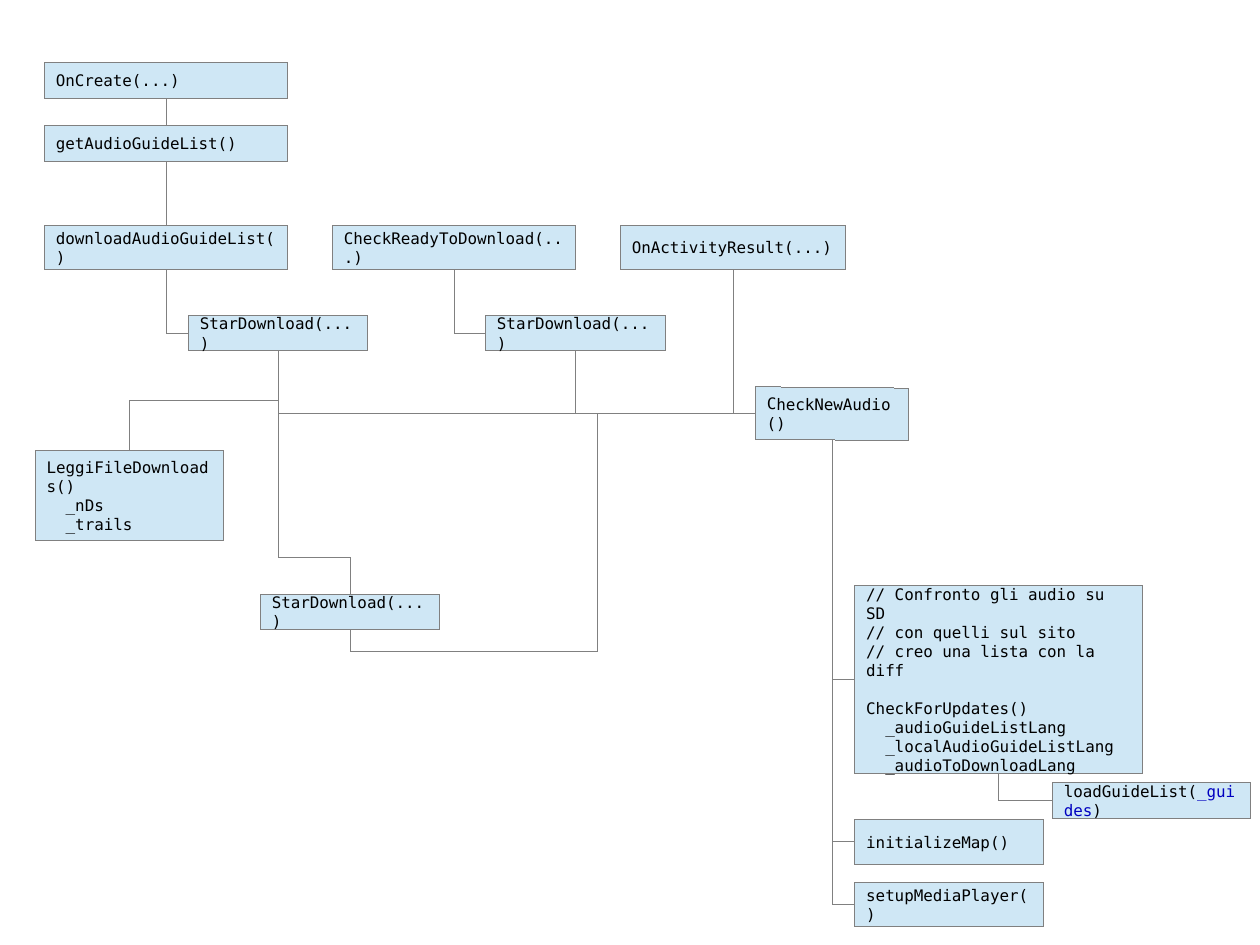
from lxml import etree
from pptx import Presentation
from pptx.dml.color import RGBColor
from pptx.enum.shapes import MSO_CONNECTOR, MSO_SHAPE
from pptx.enum.text import MSO_ANCHOR, PP_ALIGN
from pptx.oxml.ns import qn
from pptx.util import Inches, Pt

RECTANGLE = MSO_SHAPE.RECTANGLE
STRAIGHT, ELBOW = MSO_CONNECTOR.STRAIGHT, MSO_CONNECTOR.ELBOW
MIDDLE = MSO_ANCHOR.MIDDLE
LEFT = PP_ALIGN.LEFT
TOP_SITE, LEFT_SITE, BOTTOM_SITE = 0, 1, 2

# The page is 28 by 21 centimetres
SLIDE_WIDTH, SLIDE_HEIGHT = 28 / 2.54, 21 / 2.54
FONT = "DejaVu Sans Mono"
FONT_SIZE = 10
HAIRLINE = 0.01
BOX_FILL, LINE_COLOR = "CFE7F5", "808080"
TEXT_COLOR, FIELD_COLOR = "000000", "0000C0"

# Call boxes: name -> (left, top, width, height), paragraphs of text runs
BOXES = {
    "on_create": ((0.39, 0.55, 2.13, 0.31), [["OnCreate(...)"]]),
    "get_list": ((0.39, 1.1, 2.13, 0.31), [["getAudioGuideList()"]]),
    "download_list": ((0.39, 1.97, 2.13, 0.39), [["downloadAudioGuideList()"]]),
    "check_ready": ((2.91, 1.97, 2.13, 0.39), [["CheckReadyToDownload(...)"]]),
    "on_result": ((5.43, 1.97, 1.97, 0.39), [["OnActivityResult(...)"]]),
    "start_list": ((1.65, 2.76, 1.57, 0.31), [["StarDownload(...)"]]),
    "start_ready": ((4.25, 2.76, 1.57, 0.31), [["StarDownload(...)"]]),
    "start_again": ((2.28, 5.2, 1.57, 0.31), [["StarDownload(...)"]]),
    "check_new": ((6.61, 3.39, 1.34, 0.46), [["CheckNewAudio()"]]),
    "read_file": ((0.31, 3.94, 1.65, 0.79), [
        ["LeggiFileDownloads()"],
        ["  _nDs"],
        ["  _trails"],
    ]),
    "check_updates": ((7.48, 5.12, 2.52, 1.65), [
        ["// Confronto gli audio su SD"],
        ["// con quelli sul sito"],
        ["// creo una lista con la diff"],
        ["CheckForUpdates()"],
        ["  _audioGuideListLang"],
        ["  _localAudioGuideListLang"],
        ["  _audioToDownloadLang"],
    ]),
    "load_list": ((9.21, 6.85, 1.73, 0.31), [["loadGuideList(", "_guides", ")"]]),
    "init_map": ((7.48, 7.17, 1.65, 0.39), [["initializeMap()"]]),
    "setup_player": ((7.48, 7.72, 1.65, 0.39), [["setupMediaPlayer()"]]),
}
ROTATION = {"check_new": 0.5}
RUN_COLORS = {"_guides": FIELD_COLOR}
SPACE_BEFORE = {"CheckForUpdates()": 12}

# Straight calls (bottom to top) and elbow calls (bottom to left side)
STRAIGHT_CALLS = [("on_create", "get_list"), ("get_list", "download_list")]
ELBOW_CALLS = [
    ("download_list", "start_list"), ("check_ready", "start_ready"),
    ("start_list", "check_new"), ("start_ready", "check_new"), ("on_result", "check_new"),
    ("check_new", "check_updates"), ("check_new", "init_map"), ("check_new", "setup_player"),
    ("check_updates", "load_list"),
]
# Bent calls: caller, called, end site, preset, degrees, flips, bend positions
DOWN_RIGHT = (270, ["flipH"])
DOWN_LEFT = (90, [])
UP_RIGHT = (90, ["flipH", "flipV"])
BENT_CALLS = [
    (caller, called, LEFT_SITE, "bentConnector2", DOWN_RIGHT, [])
    for caller, called in ELBOW_CALLS
] + [
    ("start_list", "read_file", TOP_SITE, "bentConnector3", DOWN_LEFT, [0.5]),
    ("start_list", "start_again", TOP_SITE, "bentConnector3", DOWN_RIGHT, [0.85]),
    ("start_again", "check_new", LEFT_SITE, "bentConnector4", UP_RIGHT, [-0.1, 0.61]),
]


def color(hex_string):
    return RGBColor.from_string(hex_string)


def style_line(line):
    line.color.rgb = color(LINE_COLOR)
    line.width = Pt(HAIRLINE)


def site_point(name, site):
    left, top, width, height = BOXES[name][0]
    return {
        TOP_SITE: (left + width / 2, top),
        LEFT_SITE: (left, top + height / 2),
        BOTTOM_SITE: (left + width / 2, top + height),
    }[site]


def add_box(slide, name, position, paragraphs):
    shape = slide.shapes.add_shape(RECTANGLE, *map(Inches, position))
    shape.shadow.inherit = False
    shape.rotation = ROTATION.get(name, 0)
    shape.fill.solid()
    shape.fill.fore_color.rgb = color(BOX_FILL)
    style_line(shape.line)
    frame = shape.text_frame
    frame.word_wrap = True
    frame.vertical_anchor = MIDDLE
    for index, runs in enumerate(paragraphs):
        paragraph = frame.add_paragraph() if index else frame.paragraphs[0]
        paragraph.alignment = LEFT
        if runs[0] in SPACE_BEFORE:
            paragraph.space_before = Pt(SPACE_BEFORE[runs[0]])
        for text in runs:
            run = paragraph.add_run()
            run.text = text
            run.font.name = FONT
            run.font.size = Pt(FONT_SIZE)
            run.font.color.rgb = color(RUN_COLORS.get(text, TEXT_COLOR))
    return shape


def add_call(slide, shapes, kind, caller, called, end_site):
    start, end = site_point(caller, BOTTOM_SITE), site_point(called, end_site)
    connector = slide.shapes.add_connector(kind, *map(Inches, start + end))
    connector.begin_connect(shapes[caller], BOTTOM_SITE)
    connector.end_connect(shapes[called], end_site)
    style_line(connector.line)
    etree.SubElement(connector._element.spPr, qn("a:effectLst"))
    return connector, start, end


def bend(connector, start, end, preset, turn, bends):
    # A quarter turn swaps width and height around the same centre
    (x1, y1), (x2, y2) = start, end
    width, height = abs(y2 - y1), abs(x2 - x1)
    connector.left = Inches((x1 + x2 - width) / 2)
    connector.top = Inches((y1 + y2 - height) / 2)
    connector.width, connector.height = Inches(width), Inches(height)
    degrees, flips = turn
    properties = connector._element.spPr
    frame = properties.find(qn("a:xfrm"))
    for flip in ("flipH", "flipV"):
        frame.set(flip, "1" if flip in flips else "0")
    frame.set("rot", str(degrees * 60000))
    geometry = properties.find(qn("a:prstGeom"))
    geometry.set("prst", preset)
    guides = geometry.find(qn("a:avLst"))
    for number, share in enumerate(bends, start=1):
        guide = etree.SubElement(guides, qn("a:gd"))
        guide.set("name", f"adj{number}")
        guide.set("fmla", f"val {round(share * 100000)}")


def main():
    presentation = Presentation()
    presentation.slide_width = Inches(SLIDE_WIDTH)
    presentation.slide_height = Inches(SLIDE_HEIGHT)
    slide = presentation.slides.add_slide(presentation.slide_layouts[6])
    shapes = {name: add_box(slide, name, *box) for name, box in BOXES.items()}
    for caller, called in STRAIGHT_CALLS:
        add_call(slide, shapes, STRAIGHT, caller, called, TOP_SITE)
    for caller, called, end_site, preset, turn, bends in BENT_CALLS:
        call = add_call(slide, shapes, ELBOW, caller, called, end_site)
        bend(*call, preset, turn, bends)
    presentation.save("out.pptx")


if __name__ == "__main__":
    main()
